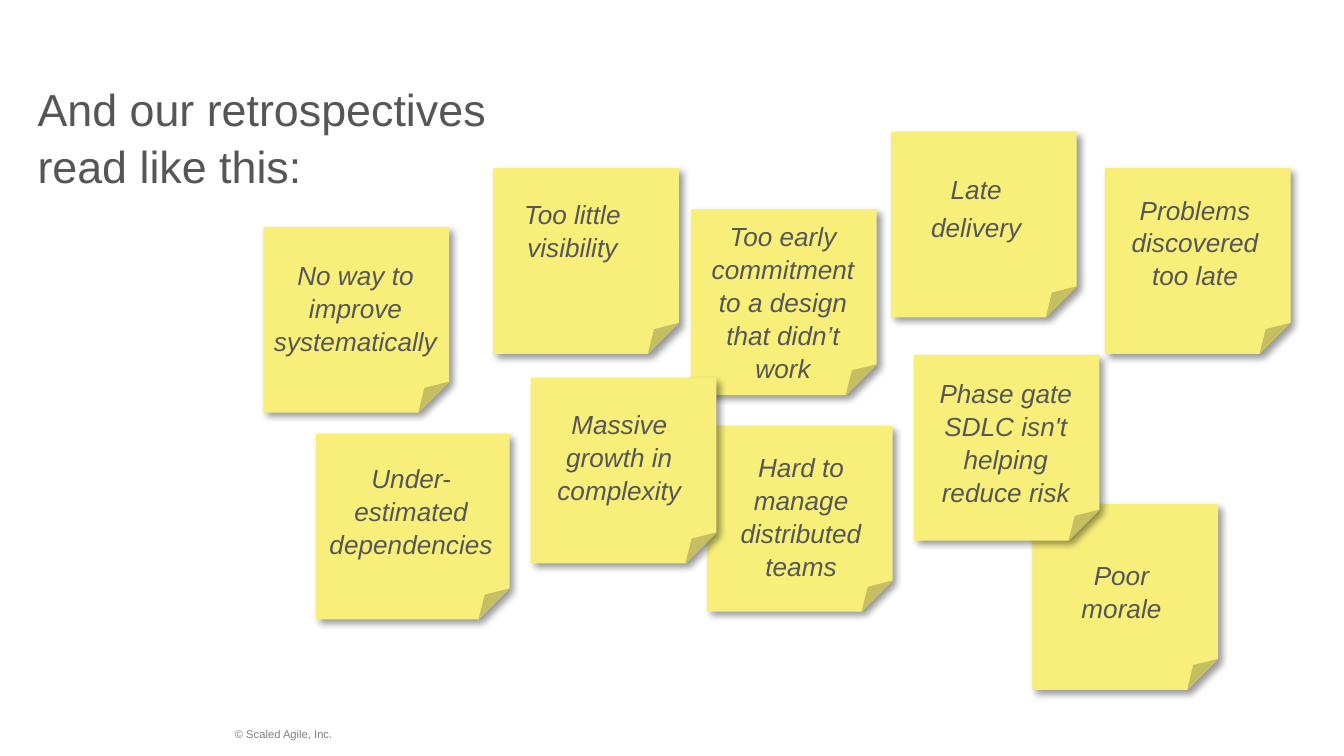
from dataclasses import dataclass

from lxml import etree
from pptx import Presentation
from pptx.dml.color import RGBColor
from pptx.enum.shapes import MSO_SHAPE
from pptx.enum.text import MSO_ANCHOR, PP_ALIGN
from pptx.oxml import parse_xml
from pptx.oxml.ns import nsdecls
from pptx.shapes.base import BaseShape
from pptx.slide import Slide
from pptx.text.text import TextFrame
from pptx.util import Cm, Pt

FOLDED_CORNER = MSO_SHAPE.FOLDED_CORNER
SNIP_RECTANGLE = MSO_SHAPE.SNIP_1_RECTANGLE
CENTER = PP_ALIGN.CENTER
LEFT = PP_ALIGN.LEFT
MIDDLE = MSO_ANCHOR.MIDDLE
TOP = MSO_ANCHOR.TOP

FONT = "Arial"
NOTE_YELLOW = RGBColor(0xF7, 0xEF, 0x7A)
TEXT_GRAY = RGBColor(0x56, 0x56, 0x56)
FOOTER_GRAY = RGBColor(0x80, 0x80, 0x80)

NOTE_SIZE = 3.51
LABEL_INSET = 0.18
LINE_SPACING = 1.05

SHADOW_XML = (
    f'<a:effectLst {nsdecls("a")}>'
    '<a:outerShdw blurRad="50800" dist="38100" dir="2700000" algn="tl" rotWithShape="0">'
    '<a:srgbClr val="000000"><a:alpha val="40000"/></a:srgbClr>'
    "</a:outerShdw></a:effectLst>"
)


@dataclass(frozen=True)
class Box:
    """Left, top, width and height in centimetres."""

    left: float
    top: float
    width: float
    height: float

    def lengths(self) -> tuple[Cm, Cm, Cm, Cm]:
        return Cm(self.left), Cm(self.top), Cm(self.width), Cm(self.height)


@dataclass(frozen=True)
class StickyNote:
    left: float
    top: float
    label: Box
    lines: tuple[str, ...]
    width: float = NOTE_SIZE


# Sticky notes, from back to front
NOTES = (
    StickyNote(20.88, 3.18, Box(21.01, 3.48, 3.15, 2.18), ("Problems discovered too late",)),
    StickyNote(4.98, 4.29, Box(4.98, 4.72, 3.48, 2.18), ("No way to improve systematically",)),
    StickyNote(13.36, 8.05, Box(13.72, 8.36, 2.84, 2.77), ("Hard to manage distributed teams",)),
    StickyNote(16.84, 2.49, Box(17.32, 3.07, 2.26, 1.7), ("Late", "delivery")),
    StickyNote(9.32, 3.18, Box(9.37, 3.56, 2.9, 1.57), ("Too little visibility",)),
    StickyNote(13.06, 3.96, Box(13.21, 4.01, 3.18, 3.38),
               ("Too early commitment to a design that didn’t work",)),
    StickyNote(19.51, 9.53, Box(19.99, 10.39, 2.41, 1.57), ("Poor morale",)),
    StickyNote(10.03, 7.14, Box(10.31, 7.54, 2.79, 2.18), ("Massive growth in complexity",)),
    StickyNote(17.27, 6.71, Box(17.45, 6.96, 3.12, 2.77),
               ("Phase gate SDLC isn't helping reduce risk",)),
    StickyNote(5.97, 8.2, Box(5.99, 8.56, 3.56, 2.18), ("Under-estimated dependencies",),
               width=3.66),
)


def write_text(frame: TextFrame, lines: tuple[str, ...], size: float, color: RGBColor,
               alignment: PP_ALIGN, anchor: MSO_ANCHOR, italic: bool = False) -> None:
    frame.word_wrap = True
    frame.vertical_anchor = anchor
    for index, line in enumerate(lines):
        paragraph = frame.add_paragraph() if index else frame.paragraphs[0]
        paragraph.text = line
        paragraph.alignment = alignment
        paragraph.line_spacing = LINE_SPACING
        if index:
            paragraph.space_before = Pt(0.2 * size)
        paragraph.font.name = FONT
        paragraph.font.size = Pt(size)
        paragraph.font.italic = italic
        paragraph.font.color.rgb = color


def set_insets(frame: TextFrame, inset: float) -> None:
    frame.margin_left = frame.margin_right = Cm(inset)
    frame.margin_top = frame.margin_bottom = Cm(inset)


def add_soft_shadow(shape: BaseShape) -> None:
    properties: etree._Element = shape._element.spPr
    properties.append(parse_xml(SHADOW_XML))


def draw_note(slide: Slide, note: StickyNote) -> None:
    group = slide.shapes.add_group_shape()

    paper_box = Box(note.left, note.top, note.width, NOTE_SIZE)
    paper = group.shapes.add_shape(FOLDED_CORNER, *paper_box.lengths())
    paper.fill.solid()
    paper.fill.fore_color.rgb = NOTE_YELLOW
    paper.line.fill.background()
    add_soft_shadow(paper)

    label = group.shapes.add_shape(SNIP_RECTANGLE, *note.label.lengths())
    label.adjustments[0] = 0
    label.shadow.inherit = False
    label.fill.background()
    label.line.fill.background()
    set_insets(label.text_frame, LABEL_INSET)
    write_text(label.text_frame, note.lines, 14, TEXT_GRAY, CENTER, MIDDLE, italic=True)


def main() -> None:
    presentation = Presentation()
    presentation.slide_width = Cm(25.4)
    presentation.slide_height = Cm(14.29)
    slide = presentation.slides.add_slide(presentation.slide_layouts[6])

    # Copyright line
    footer = slide.shapes.add_textbox(*Box(4.19, 13.61, 5.26, 0.51).lengths())
    write_text(footer.text_frame, ("© Scaled Agile, Inc.",), 6, FOOTER_GRAY, LEFT, MIDDLE)

    # Retrospective notes
    for note in NOTES:
        draw_note(slide, note)

    # Title
    title = slide.shapes.add_textbox(*Box(0.71, 1.5, 9.02, 2.44).lengths())
    set_insets(title.text_frame, 0)
    write_text(title.text_frame, ("And our retrospectives read like this:",), 24,
               TEXT_GRAY, LEFT, TOP)

    presentation.save("out.pptx")


if __name__ == "__main__":
    main()
